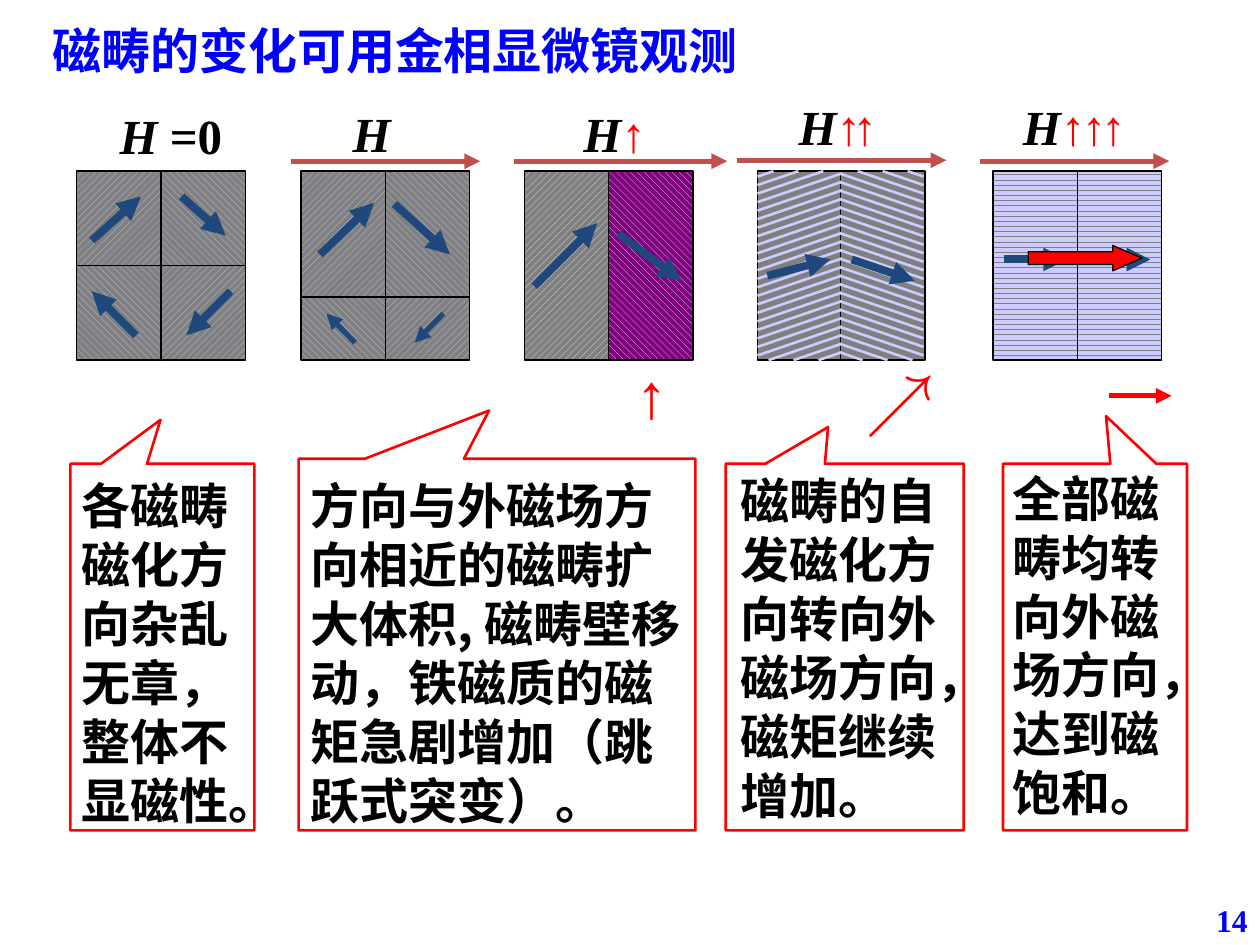
from pptx import Presentation
from pptx.dml.color import RGBColor
from pptx.enum import dml, shapes, text
from pptx.oxml.ns import qn
from pptx.util import Cm, Pt
from lxml import etree

COLORS = {"black": "000000", "white": "FFFFFF", "red": "FF0000", "blue": "0000FF",
          "navy": "1F497D", "brick": "C0504D", "gray": "808080", "purple": "800080",
          "lilac": "CCCCFF", "pale": "EAEAEA"}
RGB = {name: RGBColor.from_string(code) for name, code in COLORS.items()}
SERIF, SANS = "Times New Roman", "Noto Sans CJK SC"

prs = Presentation()
prs.slide_width, prs.slide_height = Cm(25.4), Cm(19.05)
s = prs.slides.add_slide(prs.slide_layouts[6])


def add_line(x1, y1, x2, y2, color, width, head=True):
    c = s.shapes.add_connector(shapes.MSO_CONNECTOR.STRAIGHT, Cm(x1), Cm(y1), Cm(x2), Cm(y2))
    c.line.color.rgb = RGB[color]
    c.line.width = Pt(width)
    if head:
        etree.SubElement(c.line._get_or_add_ln(), qn("a:tailEnd"), type="triangle")
    etree.SubElement(c._element.spPr, qn("a:effectLst"))


def add_text(x, y, w, h, paragraphs, size=28, font=SERIF, wrap=True):
    """Add a bold text box; each paragraph is a list of (text, colour, italic)."""
    tb = s.shapes.add_textbox(Cm(x), Cm(y), Cm(w), Cm(h))
    tf = tb.text_frame
    tf.word_wrap = wrap
    tf.auto_size = text.MSO_AUTO_SIZE.SHAPE_TO_FIT_TEXT
    for i, runs in enumerate(paragraphs):
        p = tf.paragraphs[0] if i == 0 else tf.add_paragraph()
        for content, color, italic in runs:
            r = p.add_run()
            r.text = content
            r.font.size, r.font.name = Pt(size), font
            r.font.bold, r.font.italic = True, italic
            r.font.color.rgb = RGB[color]
            if any(ch >= "一" for ch in content):
                etree.SubElement(r._r.get_or_add_rPr(), qn("a:ea"), typeface=SANS)
    return tf


add_text(0.81, 0.28, 20.45, 1.45, [[("磁畴的变化可用金相显微镜观测", "blue", False)]])

# Domain cells: left, top, height, pattern, foreground, background
UP = dml.MSO_PATTERN.WIDE_UPWARD_DIAGONAL
DOWN = dml.MSO_PATTERN.WIDE_DOWNWARD_DIAGONAL
HORZ = dml.MSO_PATTERN.DARK_HORIZONTAL
TOP, CELL_W, FULL_H = 3.45, 1.7, 3.81
cells = []
for x, upper in ((1.55, 1.91), (6.07, 2.54)):
    for row_y, h, patterns in ((TOP, upper, (UP, DOWN)),
                               (TOP + upper, FULL_H - upper, (DOWN, UP))):
        for col, pattern in enumerate(patterns):
            cells.append((x + col * CELL_W, row_y, h, pattern, "lilac", "gray"))
cells += [(10.57, TOP, FULL_H, UP, "pale", "gray"),
          (12.27, TOP, FULL_H, DOWN, "pale", "purple"),
          (15.27, TOP, FULL_H, None, None, "gray"),
          (16.95, TOP, FULL_H, None, None, "gray"),
          (20.02, TOP, FULL_H, HORZ, "lilac", "gray"),
          (21.72, TOP, FULL_H, HORZ, "lilac", "gray")]
for x, y, h, pattern, fore, back in cells:
    sp = s.shapes.add_shape(shapes.MSO_SHAPE.RECTANGLE, Cm(x), Cm(y), Cm(CELL_W), Cm(h))
    sp.shadow.inherit = False
    if pattern is None:
        sp.fill.solid()
        sp.fill.fore_color.rgb = RGB[back]
    else:
        sp.fill.patterned()
        sp.fill.pattern = pattern
        sp.fill.fore_color.rgb, sp.fill.back_color.rgb = RGB[fore], RGB[back]
    sp.line.color.rgb, sp.line.width = RGB["black"], Pt(0.75)

# Mirrored slanted stripes of the fourth domain, clipped to its top and bottom
STRIPES, RISE, BOTTOM = 25, 0.58, TOP + FULL_H
for edge, direction in ((15.27, 1), (18.62, -1)):
    for i in range(STRIPES):
        y = 3.56 + 4.12 * i / (STRIPES - 1)
        start, end = max(0, (y - BOTTOM) / RISE), min(1, (y - TOP) / RISE)
        add_line(edge + direction * CELL_W * start, y - RISE * start,
                 edge + direction * CELL_W * end, y - RISE * end, "lilac", 1.5, head=False)

# Magnetization arrows
for x1, y1, x2, y2, width in (
        (1.85, 4.85, 2.84, 3.96, 4.5), (3.66, 3.96, 4.55, 4.75, 4.5),
        (2.74, 6.76, 1.85, 5.87, 4.5), (4.65, 5.87, 3.76, 6.76, 4.5),
        (6.45, 5.13, 7.54, 4.09, 4.5), (7.95, 4.11, 9.07, 5.13, 4.5),
        (7.16, 6.91, 6.58, 6.32, 3), (8.94, 6.32, 8.36, 6.91, 3),
        (10.77, 5.77, 12.04, 4.5, 4.5), (12.47, 4.72, 13.74, 5.66, 4.5),
        (15.47, 5.56, 16.74, 5.23, 4.5), (17.17, 5.23, 18.44, 5.66, 4.5),
        (20.24, 5.23, 21.51, 5.23, 4.5), (21.92, 5.23, 23.19, 5.23, 4.5)):
    add_line(x1, y1, x2, y2, "navy", width)

sp = s.shapes.add_shape(shapes.MSO_SHAPE.RIGHT_ARROW, Cm(20.73), Cm(4.95), Cm(2.29), Cm(0.51))
sp.shadow.inherit = False
sp.adjustments[0], sp.adjustments[1] = 0.5, 1.15
sp.fill.solid()
sp.fill.fore_color.rgb = RGB["red"]
sp.line.color.rgb, sp.line.width = RGB["black"], Pt(0.75)

# External field arrows and labels
for x1, x2, y in ((5.87, 9.68, 3.25), (10.36, 14.66, 3.25),
                  (14.86, 19.08, 3.23), (19.76, 23.57, 3.25)):
    add_line(x1, y, x2, y, "brick", 3)
H, UP_ARROW = ("H", "black", True), ("↑", "red", False)
for x, y, w, runs, wrap in (
        (2.16, 2.01, 4.42, [H, (" =0", "black", False)], True),
        (6.86, 1.96, 1.27, [H], False),
        (11.51, 1.96, 2.57, [H, UP_ARROW], True),
        (15.85, 1.83, 2.26, [H, UP_ARROW], False),
        (16.94, 1.83, 1.68, [UP_ARROW], True),
        (20.37, 1.83, 2.29, [H, UP_ARROW], False),
        (21.56, 1.83, 1.5, [UP_ARROW], False),
        (21.95, 1.83, 1.5, [UP_ARROW], False)):
    add_text(x, y, w, 1.45, [runs], wrap=wrap)

# Net magnetization
add_text(12.57, 7.04, 1.78, 1.78, [[UP_ARROW]], size=36, wrap=False)
add_text(17.2, 7.06, 1.93, 1.96, [[("↗", "red", False)]], size=40)
add_line(22.35, 7.98, 23.62, 7.98, "red", 3)

# Callouts: frame, pointer, text box, lines
for frame, pointer, box, lines in (
        ((1.42, 9.35, 3.71, 7.39), (-0.01, -0.62), (1.4, 9.47, 4.7, 7.37),
         ["各磁畴", "磁化方", "向杂乱", "无章，", "整体不", "显磁性。"]),
        ((6.02, 9.25, 8, 7.49), (-0.02, -0.63), (6.02, 9.47, 8.03, 7.44),
         ["方向与外磁场方向相近的磁畴扩大体积, 磁畴壁移动，铁磁质的磁矩急剧增加（跳跃式突变）。"]),
        ((14.63, 9.35, 4.8, 7.39), (-0.07, -0.6), (14.68, 9.37, 5.59, 7.37),
         ["磁畴的自", "发磁化方", "向转向外", "磁场方向，", "磁矩继续", "增加。"]),
        ((20.22, 9.35, 3.71, 7.39), (0.06, -0.63), (20.17, 9.32, 4.8, 7.37),
         ["全部磁", "畴均转", "向外磁", "场方向，", "达到磁", "饱和。"])):
    sp = s.shapes.add_shape(shapes.MSO_SHAPE.RECTANGULAR_CALLOUT, *map(Cm, frame))
    sp.shadow.inherit = False
    sp.adjustments[0], sp.adjustments[1] = pointer
    sp.fill.solid()
    sp.fill.fore_color.rgb = RGB["white"]
    sp.line.color.rgb, sp.line.width = RGB["red"], Pt(1.5)
    add_text(*box, [[(line, "black", False)] for line in lines], font=SANS)

tf = add_text(19.48, 18.03, 5.92, 1.02, [[("14", "blue", False)]], size=18)
tf.auto_size = text.MSO_AUTO_SIZE.NONE
tf.vertical_anchor = text.MSO_ANCHOR.MIDDLE
tf.paragraphs[0].alignment = text.PP_ALIGN.RIGHT

prs.save("out.pptx")
